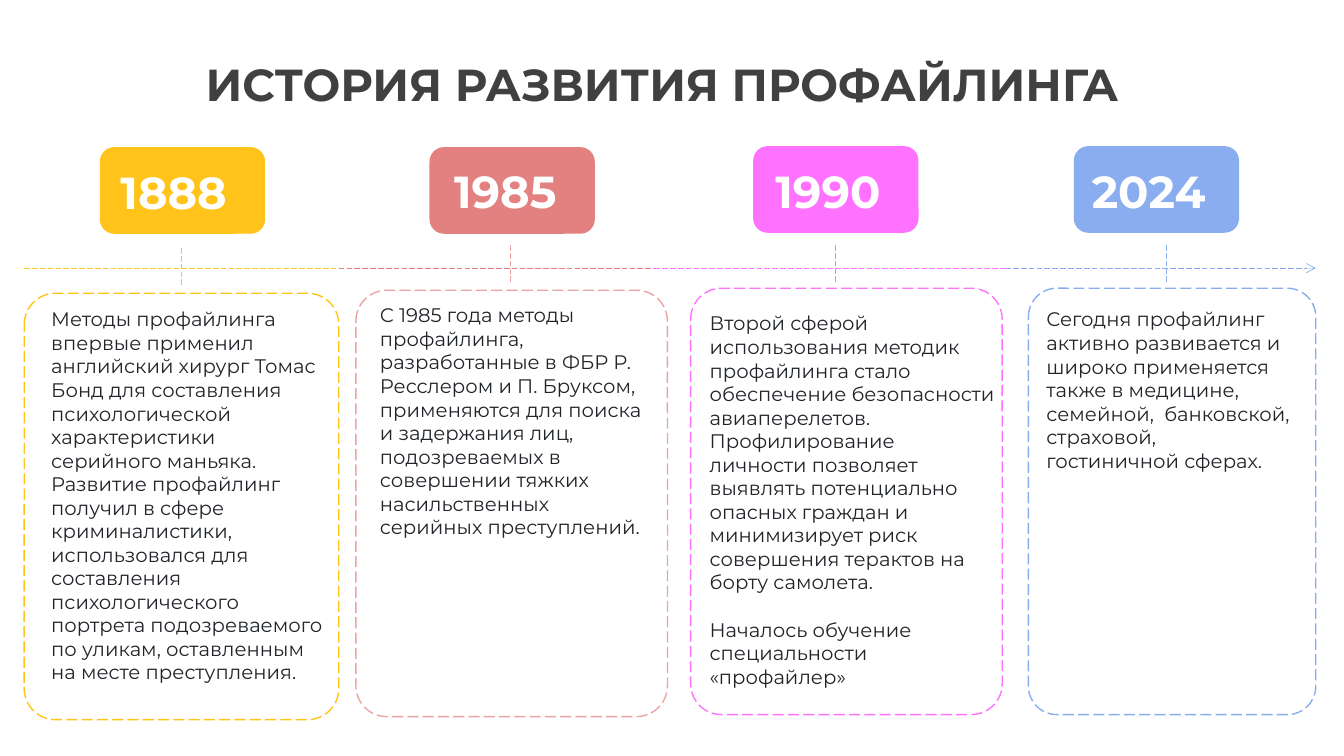
from lxml.etree import SubElement
from pptx import Presentation
from pptx.dml.color import RGBColor
from pptx.enum.dml import MSO_LINE
from pptx.enum.shapes import MSO_CONNECTOR, MSO_SHAPE
from pptx.enum.text import MSO_ANCHOR, PP_ALIGN
from pptx.oxml.ns import qn
from pptx.util import Inches, Pt

FONT = "Montserrat"
AXIS_TOP = 2.66
TICK_HEIGHT = 0.37
BADGE_SIZE = (1.64, 0.86)
YEAR_SIZE = (1.49, 0.84)
CARD_HEIGHT = 4.23

# Each stage: year, colours, card, badge, tick, axis section and story (lengths in inches)
STAGES = [
    {"year": "1888 ", "color": "FFC319", "pale": "FFC319",
     "card": (0.24, 2.91, 3.12), "badge": (0.99, 1.46), "year_at": (1.04, 1.51),
     "tick": (1.8, 2.46), "axis": (0.24, 3.36), "story_at": (0.41, 3, 2.95, 3.87),
     "story": ["Методы профайлинга впервые применил английский хирург Томас Бонд "
               "для составления психологической характеристики серийного маньяка. "
               "Развитие профайлинг получил в сфере криминалистики, использовался "
               "для составления психологического портрета подозреваемого по уликам, "
               "оставленным на месте преступления."]},
    {"year": "1985 ", "color": "E38181", "pale": "EBA3A3",
     "card": (3.53, 2.88, 3.09), "badge": (4.26, 1.46), "year_at": (4.33, 1.5),
     "tick": (5.06, 2.43), "axis": (3.36, 6.48), "story_at": (3.67, 2.96, 2.82, 2.46),
     "story": ["С 1985 года методы профайлинга, разработанные в ФБР Р. Ресслером "
               "и П. Бруксом, применяются для поиска и задержания лиц, "
               "подозреваемых в совершении тяжких насильственных серийных "
               "преступлений."]},
    {"year": "1990 ", "color": "FF71FF", "pale": "FF71FF",
     "card": (6.85, 2.86, 3.09), "badge": (7.47, 1.45), "year_at": (7.53, 1.5),
     "tick": (8.29, 2.43), "axis": (6.49, 9.97), "story_at": (6.94, 3.04, 3.03, 3.87),
     "story": ["Второй сферой использования методик профайлинга стало обеспечение "
               "безопасности авиаперелетов. Профилирование личности позволяет "
               "выявлять потенциально опасных граждан и минимизирует риск "
               "совершения терактов на борту самолета.",
               "Началось обучение специальности «профайлер»"]},
    {"year": "2024 ", "color": "89ADEF", "pale": "89ADEF",
     "card": (10.2, 2.86, 2.85), "badge": (10.65, 1.45), "year_at": (10.71, 1.5),
     "tick": (11.57, 2.43), "axis": (9.97, 13.05), "story_at": (10.28, 3, 2.65, 1.75),
     "story": ["Сегодня профайлинг активно развивается и широко применяется также "
               "в медицине, семейной,  банковской, страховой, гостиничной сферах."]},
]


def rgb(color):
    return RGBColor.from_string(color)


def style_line(line, color, width):
    line.color.rgb = rgb(color)
    line.width = Pt(width)
    line.dash_style = MSO_LINE.LONG_DASH


def add_round_box(slide, left, top, width, height):
    shape = slide.shapes.add_shape(MSO_SHAPE.ROUNDED_RECTANGLE, Inches(left),
                                   Inches(top), Inches(width), Inches(height))
    shape.shadow.inherit = False
    return shape


def add_badge(slide, position, color):
    badge = add_round_box(slide, *position, *BADGE_SIZE)
    badge.fill.solid()
    badge.fill.fore_color.rgb = rgb(color)
    badge.line.fill.background()


def add_card(slide, left, top, width, color):
    card = add_round_box(slide, left, top, width, CARD_HEIGHT)
    card.adjustments[0] = 0.099
    card.fill.background()
    style_line(card.line, color, 1)


def add_dashed_line(slide, start, end, color, arrow=False):
    connector = slide.shapes.add_connector(
        MSO_CONNECTOR.STRAIGHT, *(Inches(value) for value in (*start, *end)))
    style_line(connector.line, color, 0.5)
    properties = connector._element.spPr
    if arrow:
        SubElement(properties.find(qn("a:ln")), qn("a:tailEnd"), type="arrow")
    SubElement(properties, qn("a:effectLst"))


def add_text(slide, box, paragraphs, size, color, bold=False):
    text_frame = slide.shapes.add_textbox(*(Inches(value) for value in box)).text_frame
    text_frame.word_wrap = True
    text_frame.text = "\n".join(paragraphs)
    for paragraph in text_frame.paragraphs:
        for run in paragraph.runs:
            run.font.name = FONT
            run.font.size = Pt(size)
            run.font.bold = bold
            run.font.color.rgb = rgb(color)
    return text_frame


def add_heading(slide, box, text, color, alignment):
    text_frame = add_text(slide, box, [text], 32, color, bold=True)
    text_frame.vertical_anchor = MSO_ANCHOR.MIDDLE
    text_frame.margin_top = text_frame.margin_bottom = Inches(0.1)
    paragraph = text_frame.paragraphs[0]
    paragraph.alignment = alignment
    paragraph.line_spacing = 0.9


def add_story(slide, box, paragraphs):
    text_frame = add_text(slide, box, paragraphs, 14, "212529")
    for paragraph in text_frame.paragraphs[1:]:
        paragraph.space_before = Pt(17)


def add_stage(slide, stage, is_last):
    # Year badge
    add_badge(slide, stage["badge"], stage["color"])
    add_heading(slide, (*stage["year_at"], *YEAR_SIZE), stage["year"],
                "FFFFFF", PP_ALIGN.CENTER)
    # Section of the time axis with its tick
    start, end = stage["axis"]
    add_dashed_line(slide, (start, AXIS_TOP), (end, AXIS_TOP), stage["color"], is_last)
    left, top = stage["tick"]
    add_dashed_line(slide, (left, top), (left, top + TICK_HEIGHT), stage["pale"])
    # Card with the story
    add_card(slide, *stage["card"], stage["pale"])
    add_story(slide, stage["story_at"], stage["story"])


def main():
    presentation = Presentation()
    presentation.slide_width = Inches(13.33)
    presentation.slide_height = Inches(7.5)
    slide = presentation.slides.add_slide(presentation.slide_layouts[6])

    # Title
    add_heading(slide, (1.94, 0.52, 9.46, 0.68), "ИСТОРИЯ РАЗВИТИЯ ПРОФАЙЛИНГА",
                "404040", PP_ALIGN.LEFT)

    # Timeline
    for stage in STAGES:
        add_stage(slide, stage, is_last=stage is STAGES[-1])

    presentation.save("out.pptx")


if __name__ == "__main__":
    main()
